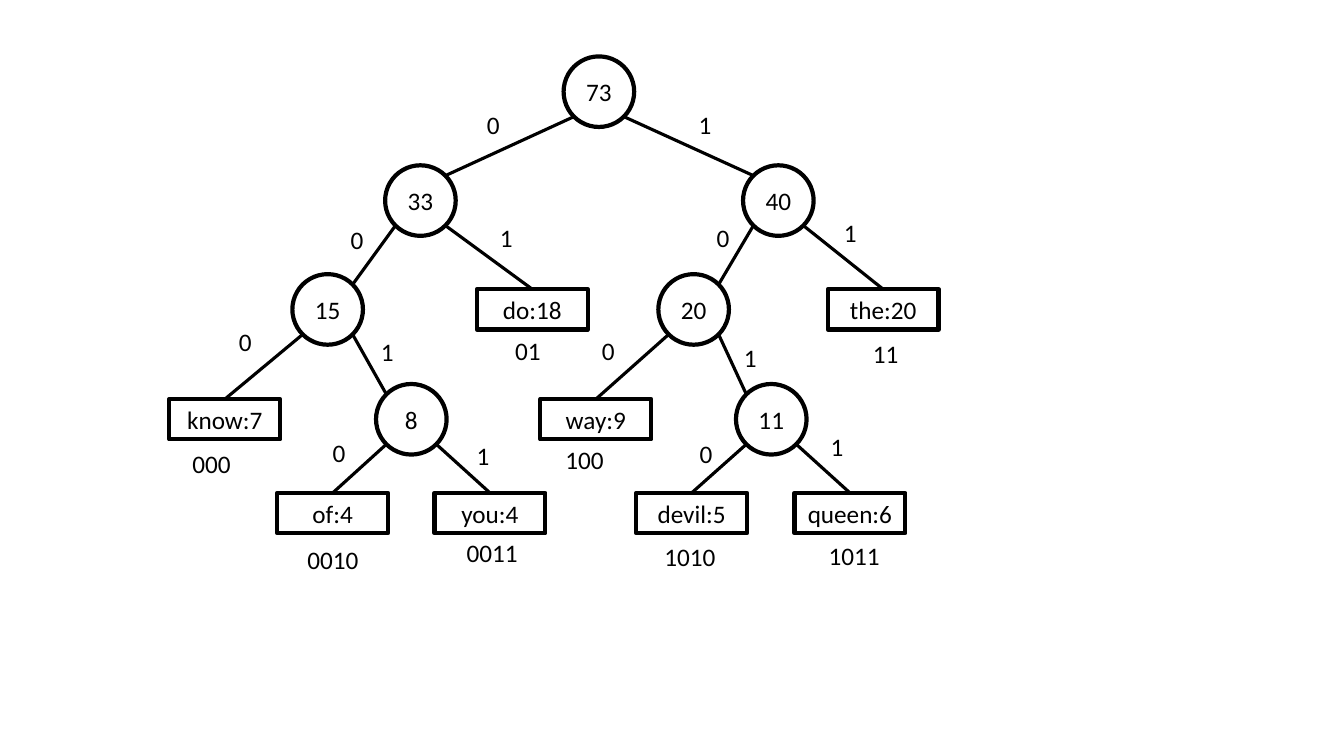
from dataclasses import dataclass

from lxml import etree
from pptx import Presentation
from pptx.dml.color import RGBColor
from pptx.enum.shapes import MSO_CONNECTOR, MSO_SHAPE
from pptx.enum.text import MSO_ANCHOR, MSO_AUTO_SIZE, PP_ALIGN
from pptx.oxml.ns import qn
from pptx.util import Inches, Pt

OVAL, RECTANGLE = MSO_SHAPE.OVAL, MSO_SHAPE.RECTANGLE
STRAIGHT = MSO_CONNECTOR.STRAIGHT
CENTER, LEFT = PP_ALIGN.CENTER, PP_ALIGN.LEFT
MIDDLE, TOP = MSO_ANCHOR.MIDDLE, MSO_ANCHOR.TOP
GROW = MSO_AUTO_SIZE.SHAPE_TO_FIT_TEXT

# Grid of 0.1 inch cells; every length below counts cells
CELL = Inches(0.1)
LEVELS = (9.1, 19.9, 30.7, 41.6, 50.9)  # centre row of each tree level
CIRCLE = 7.0
CORNER = CIRCLE / 2 * 0.707  # offset of the diagonal points of a circle
LEAF_WIDTH, LEAF_HEIGHT = 11.0, 4.0
LABEL_HEIGHT, LABEL_MARGIN, DIGIT_WIDTH = 4.0, 2.0, 1.28

INK = "000000"
FONT = {"name": "Calibri", "size": Pt(18)}
Point = tuple[float, float]


@dataclass(frozen=True)
class Node:
    """A tree node; its code is the path of 0 and 1 from the root."""
    code: str
    text: str
    x: float
    bit_at: Point | None = None   # top left of the branch label
    code_at: Point | None = None  # top left of the code, leaves only

    @property
    def y(self) -> float:
        return LEVELS[len(self.code)]

    @property
    def is_leaf(self) -> bool:
        return self.code_at is not None


NODES = (
    Node("", "73", 59.4),
    Node("0", "33", 41.7, (47.3, 10.4)),
    Node("1", "40", 77.2, (68.3, 10.4)),
    Node("00", "15", 32.5, (33.8, 21.8)),
    Node("01", "do:18", 52.8, (48.6, 21.6), (50.1, 32.8)),
    Node("10", "20", 68.8, (70.1, 21.6)),
    Node("11", "the:20", 87.6, (82.7, 21.1), (85.6, 33.1)),
    Node("000", "know:7", 22.3, (22.7, 31.9), (18.1, 44.0)),
    Node("001", "8", 40.8, (36.8, 32.9)),
    Node("100", "way:9", 59.1, (58.7, 32.8), (55.1, 43.6)),
    Node("101", "11", 76.5, (72.8, 33.5)),
    Node("0010", "of:4", 33.0, (32.0, 42.9), (29.5, 53.5)),
    Node("0011", "you:4", 48.6, (46.3, 43.2), (45.3, 52.8)),
    Node("1010", "devil:5", 68.6, (68.4, 43.0), (64.9, 53.2)),
    Node("1011", "queen:6", 84.3, (81.4, 42.3), (81.2, 53.1)),
)


def color(hex_code: str) -> RGBColor:
    return RGBColor.from_string(hex_code)


def cells(*counts: float) -> list[int]:
    return [round(count * CELL) for count in counts]


def write(shape, text: str, frame_format: dict, alignment) -> None:
    for name, value in frame_format.items():
        setattr(shape.text_frame, name, value)
    paragraph = shape.text_frame.paragraphs[0]
    paragraph.alignment = alignment
    run = paragraph.add_run()
    run.text = text
    for name, value in FONT.items():
        setattr(run.font, name, value)
    run.font.color.rgb = color(INK)


def draw_line_style(line, width: float) -> None:
    line.color.rgb = color(INK)
    line.width = Pt(width)


def draw_node(slide, node: Node) -> None:
    kind, width, height = (
        (RECTANGLE, LEAF_WIDTH, LEAF_HEIGHT) if node.is_leaf else (OVAL, CIRCLE, CIRCLE))
    shape = slide.shapes.add_shape(
        kind, *cells(node.x - width / 2, node.y - height / 2, width, height))
    shape.shadow.inherit = False
    shape.fill.background()
    draw_line_style(shape.line, 3)
    write(shape, node.text, {"vertical_anchor": MIDDLE, "word_wrap": True}, CENTER)


def draw_branch(slide, parent: Node, child: Node) -> None:
    side = 1 if child.code.endswith("1") else -1
    start = (parent.x + side * CORNER, parent.y + CORNER)
    if child.is_leaf:
        end = (child.x, child.y - LEAF_HEIGHT / 2)
    else:
        end = (child.x - side * CORNER, child.y - CORNER)
    connector = slide.shapes.add_connector(STRAIGHT, *cells(*start, *end))
    draw_line_style(connector.line, 2.25)
    etree.SubElement(connector._element.spPr, qn("a:effectLst"))


def draw_label(slide, text: str, at: Point) -> None:
    width = LABEL_MARGIN + DIGIT_WIDTH * len(text)
    box = slide.shapes.add_textbox(*cells(*at, width, LABEL_HEIGHT))
    write(box, text, {"vertical_anchor": TOP, "word_wrap": False, "auto_size": GROW}, LEFT)


presentation = Presentation()
presentation.slide_width, presentation.slide_height = Inches(13.33), Inches(7.5)
slide = presentation.slides.add_slide(presentation.slide_layouts[6])
by_code = {node.code: node for node in NODES}

# Circles and leaf boxes
for node in NODES:
    draw_node(slide, node)

# Branches with their bits
for node in NODES[1:]:
    draw_branch(slide, by_code[node.code[:-1]], node)
    draw_label(slide, node.code[-1], node.bit_at)

# Codes under the leaves
for node in NODES:
    if node.is_leaf:
        draw_label(slide, node.code, node.code_at)

presentation.save("out.pptx")
